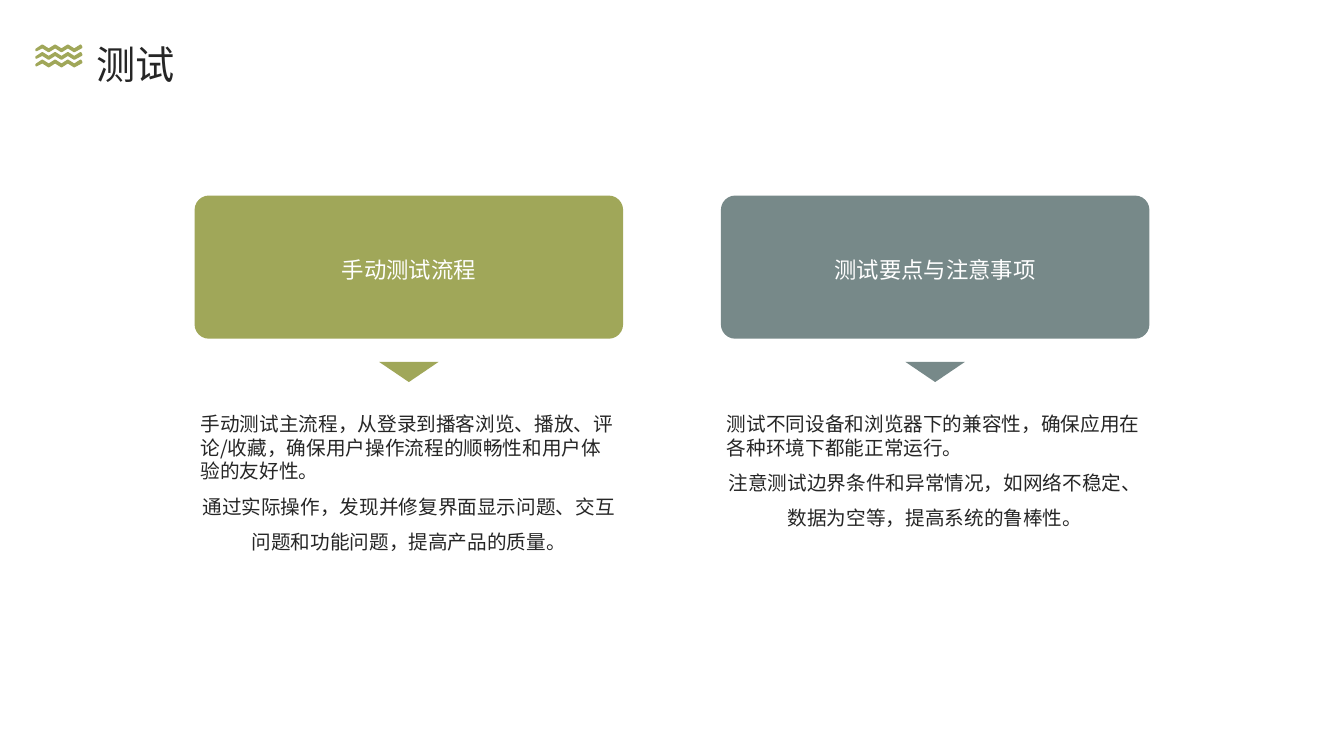
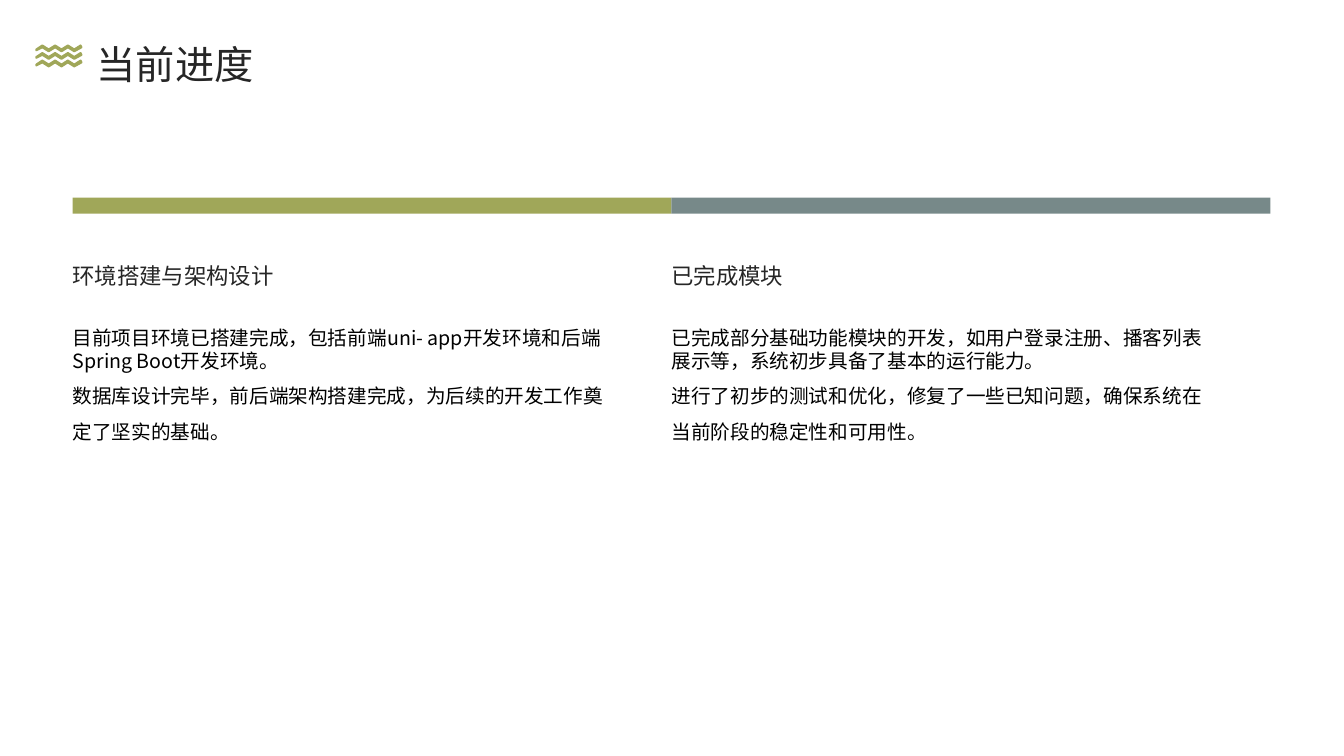
from pptx import Presentation
from pptx.dml.color import RGBColor
from pptx.enum.shapes import MSO_SHAPE
from pptx.enum.text import MSO_ANCHOR, PP_ALIGN
from pptx.oxml.ns import qn
from pptx.util import Inches, Pt

FONT = "Noto Sans CJK SC"
GREEN, GRAY, DARK, BLACK, WHITE = "A0A759", "778989", "262626", "000000", "FFFFFF"
HUES = (GREEN, GRAY)

TESTS = {
    "title": "测试",
    "parts": [
        ("手动测试流程", [
            "手动测试主流程，从登录到播客浏览、播放、评论/收藏，确保用户操作流程的顺畅性和用户体验的友好性。",
            "通过实际操作，发现并修复界面显示问题、交互问题和功能问题，提高产品的质量。"]),
        ("测试要点与注意事项", [
            "测试不同设备和浏览器下的兼容性，确保应用在各种环境下都能正常运行。",
            "注意测试边界条件和异常情况，如网络不稳定、数据为空等，提高系统的鲁棒性。"]),
    ],
}
STATUS = {
    "title": "当前进度",
    "parts": [
        ("环境搭建与架构设计", [
            "目前项目环境已搭建完成，包括前端uni- app开发环境和后端Spring Boot开发环境。",
            "数据库设计完毕，前后端架构搭建完成，为后续的开发工作奠定了坚实的基础。"]),
        ("已完成模块", [
            "已完成部分基础功能模块的开发，如用户登录注册、播客列表展示等，系统初步具备了基本的运行能力。",
            "进行了初步的测试和优化，修复了一些已知问题，确保系统在当前阶段的稳定性和可用性。"]),
    ],
}


def color(code):
    return RGBColor.from_string(code)


def write(shape, lines, size, hue, gaps, aligns, anchor=MSO_ANCHOR.TOP):
    frame = shape.text_frame
    frame.word_wrap = True
    frame.vertical_anchor = anchor
    frame.margin_left = frame.margin_right = 0
    frame.margin_top = frame.margin_bottom = 0
    frame.text = "\n".join(lines)
    for para, gap, align in zip(frame.paragraphs, gaps, aligns):
        para.line_spacing = gap
        para.alignment = align
        for run in para.runs:
            run.font.size = Pt(size)
            run.font.name = FONT
            run.font.color.rgb = color(hue)
            east = run.font._element.makeelement(qn("a:ea"), {"typeface": FONT})
            run.font._element.find(qn("a:latin")).addnext(east)


def text(slide, box, *style):
    shape = slide.shapes.add_textbox(*map(Inches, box))
    write(shape, *style)


def paint(shape, hue):
    shape.shadow.inherit = False
    shape.fill.solid()
    shape.fill.fore_color.rgb = color(hue)
    shape.line.fill.background()


def block(slide, kind, box, hue):
    shape = slide.shapes.add_shape(kind, *map(Inches, box))
    paint(shape, hue)
    return shape


def waves(slide):
    step = (0.8 - 0.42) / 6
    upper = [(0.42 + i * step, 0.49 if i % 2 else 0.45) for i in range(7)]
    lower = [(x, y + 0.02) for x, y in upper[5::-1]]
    ring = [*upper, (0.81, 0.47), *lower, (0.36, 0.5), (0.36, 0.49)]
    pen = None
    for row in range(3):
        dots = [(Inches(x), Inches(y + row * 0.15 / 2)) for x, y in ring]
        if pen is None:
            pen = slide.shapes.build_freeform(*dots[0])
        else:
            pen.move_to(*dots[0])
        pen.add_line_segments(dots[1:], close=True)
    shape = pen.convert_to_shape()
    paint(shape, GREEN)
    shape.line.color.rgb = color(GREEN)
    shape.line.width = Pt(1.29)


def begin(deck, title):
    slide = deck.slides.add_slide(deck.slide_layouts[6])
    text(slide, (0.96, 0.26, 11.35, 0.59), [title], 28, DARK, [1.3], [PP_ALIGN.LEFT])
    waves(slide)
    return slide


def tests(deck):
    slide = begin(deck, TESTS["title"])
    wide, tip = 4.25, 0.59
    for i, (head, body) in enumerate(TESTS["parts"]):
        left = 1.93 + i * 5.22
        card = block(slide, MSO_SHAPE.ROUNDED_RECTANGLE, (left, 1.94, wide, 1.42), HUES[i])
        card.adjustments[0] = 0.1
        write(card, [head], 16, WHITE, [1.2], [PP_ALIGN.CENTER], MSO_ANCHOR.MIDDLE)
        arrow = block(slide, MSO_SHAPE.ISOSCELES_TRIANGLE,
                      (left + (wide - tip) / 2, 3.59, tip, 0.2), HUES[i])
        arrow.rotation = 180
        text(slide, (left + 0.06, 4.09, 4.13, 2.61), body, 14, DARK,
             [1.0, 1.5], [PP_ALIGN.LEFT, PP_ALIGN.CENTER])


def status(deck):
    slide = begin(deck, STATUS["title"])
    wide = 5.94
    for i, (head, body) in enumerate(STATUS["parts"]):
        left = 0.72 + i * wide
        block(slide, MSO_SHAPE.RECTANGLE, (left, 1.96, wide, 0.16), HUES[i])
        text(slide, (left, 2.26, 5.31, 0.87), [head], 16, DARK,
             [1.3], [PP_ALIGN.LEFT], MSO_ANCHOR.MIDDLE)
        text(slide, (left, 3.23, 5.31, 2.76), body, 14, BLACK,
             [1.0, 1.5], [PP_ALIGN.LEFT] * 2)


def main():
    deck = Presentation()
    deck.slide_width = Inches(13.33)
    deck.slide_height = Inches(7.5)
    tests(deck)
    status(deck)
    deck.save("out.pptx")


if __name__ == "__main__":
    main()
